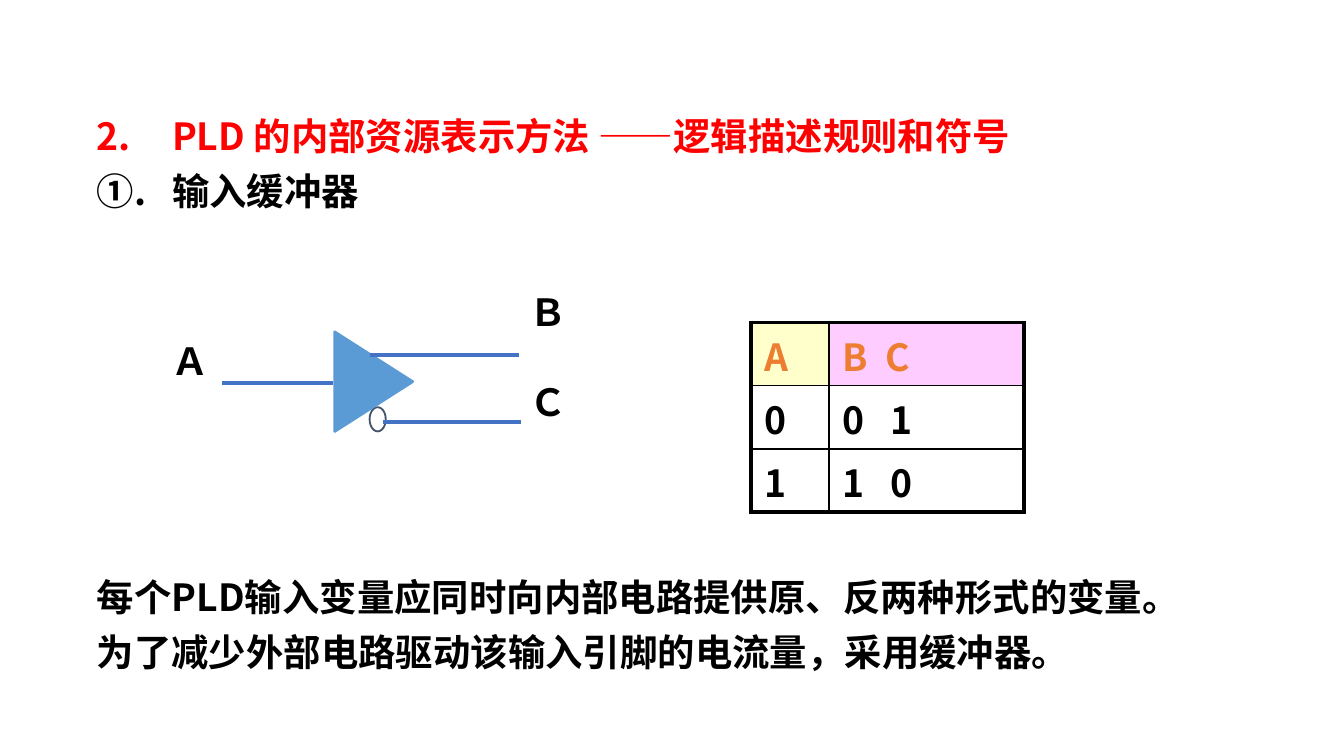
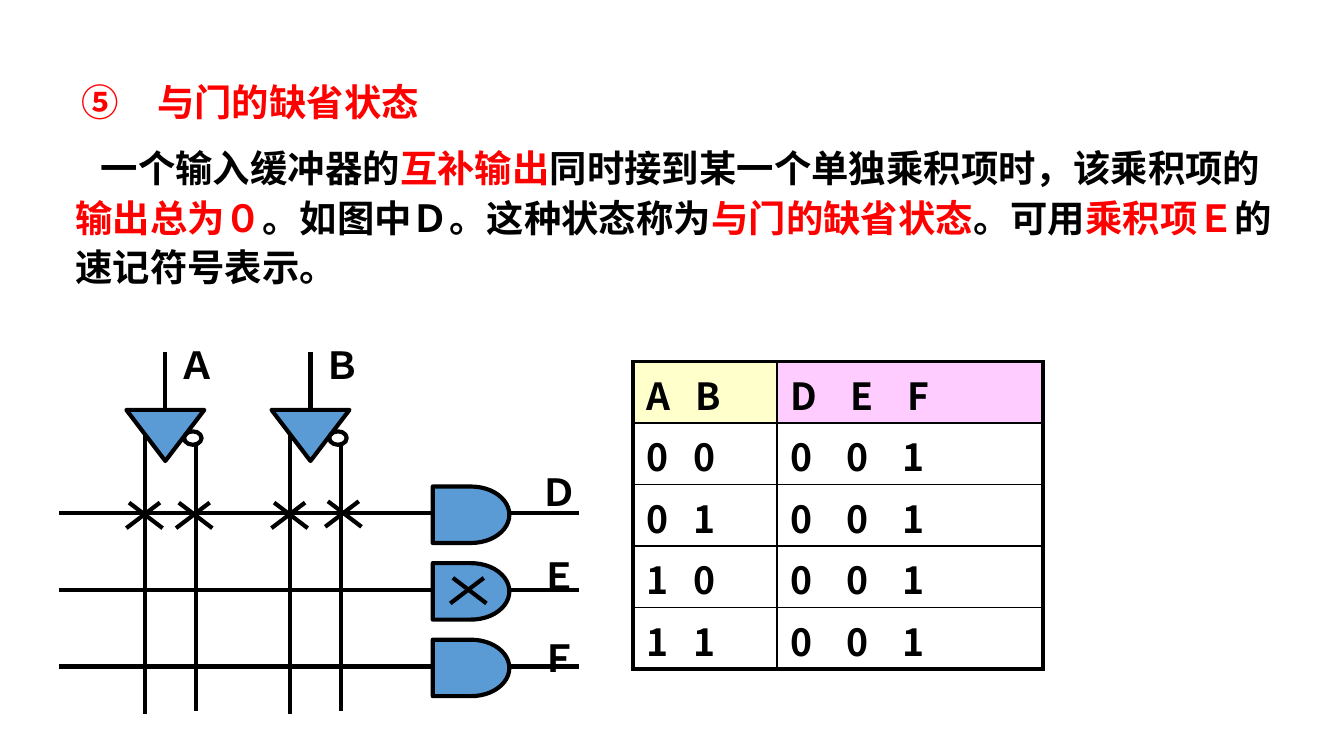
"""Builds two slides on the logic symbols of programmable devices."""
from typing import NamedTuple

from lxml import etree
from pptx import Presentation
from pptx.dml.color import RGBColor
from pptx.enum.shapes import MSO_CONNECTOR, MSO_SHAPE
from pptx.enum.text import MSO_ANCHOR, MSO_AUTO_SIZE, PP_ALIGN
from pptx.oxml.ns import qn
from pptx.util import Inches, Pt

STRAIGHT = MSO_CONNECTOR.STRAIGHT
ELLIPSE = MSO_SHAPE.OVAL
EXTRACT = MSO_SHAPE.FLOWCHART_EXTRACT
MERGE = MSO_SHAPE.FLOWCHART_MERGE
DELAY = MSO_SHAPE.FLOWCHART_DELAY
TOP, MIDDLE = MSO_ANCHOR.TOP, MSO_ANCHOR.MIDDLE
NO_FIT, GROW = MSO_AUTO_SIZE.NONE, MSO_AUTO_SIZE.SHAPE_TO_FIT_TEXT
LEFT = PP_ALIGN.LEFT

FONT = "Noto Sans CJK JP"
BLACK, WHITE, RED, ORANGE = "000000", "FFFFFF", "FF0000", "ED7D31"
SYMBOL_BLUE, WIRE_BLUE, SLATE = "5B9BD5", "4472C4", "44546A"
INPUT_YELLOW, OUTPUT_PINK = "FFFFCC", "FFCCFF"
THICK, THIN = 2.25, 1


class Box(NamedTuple):
    """Position and size in inches."""
    left: float
    top: float
    width: float
    height: float

    def lengths(self) -> list:
        """Return the four values as lengths."""
        return [Inches(value) for value in self]


class Label(NamedTuple):
    """A letter beside a wire."""
    text: str
    box: Box


class Buffer(NamedTuple):
    """An input buffer with its left edge."""
    label: str
    left: float


class Gate(NamedTuple):
    """An AND gate with its wire height and label top."""
    label: str
    wire_y: float
    label_top: float


class TruthTable(NamedTuple):
    """A truth table of input and output columns."""
    box: Box
    columns: tuple
    rows: list
    header_color: str


BUFFER_LABELS = [Label("Ａ", Box(1.18, 2.47, 0.67, 0.43)),
                 Label("Ｂ", Box(3.84, 2.1, 0.67, 0.43)),
                 Label("Ｃ", Box(3.84, 2.77, 0.67, 0.43))]
BUFFER_WIRES = [(1.65, 2.85, 2.48, 2.85), (2.85, 3.14, 3.88, 3.14), (2.75, 2.64, 3.86, 2.64)]
BUFFERS = [Buffer("Ａ", 0.94), Buffer("Ｂ", 2.02)]
GATES = [Gate("Ｄ", 3.82, 3.44), Gate("Ｅ", 4.39, 4.07), Gate("Ｆ", 4.96, 4.68)]
CROSSES = [(3.35, 4.3), (0.94, 3.74), (1.31, 3.74), (2.02, 3.74), (2.42, 3.73)]

BUFFER_TABLE = TruthTable(Box(5.59, 2.4, 2.03, 1.41), (0.58, 1.45),
                          [("A", "B  C"), ("0", "0   1"), ("1", "1   0")], ORANGE)
GATE_TABLE = TruthTable(Box(4.71, 2.69, 3.05, 2.29), (1.07, 1.98),
                        [("A   B", "D    E    F")]
                        + [(f"{a}   {b}", "0    0    1") for a in (0, 1) for b in (0, 1)], BLACK)


def rgb(color: str) -> RGBColor:
    """Turn a hex string into a colour."""
    return RGBColor.from_string(color)


def write(paragraph, text: str, *, size: float = 20, color: str = BLACK, bold: bool = True) -> None:
    """Add a run of formatted text to a paragraph."""
    run = paragraph.add_run()
    run.text = text
    font = run.font
    font.size, font.bold, font.name = Pt(size), bold, FONT
    font.color.rgb = rgb(color)
    etree.SubElement(font._element, qn("a:ea"), typeface=FONT)


def set_layout(paragraph, *, spacing: float = 1, before: float = 0, percent: int = 0,
               margin: float = 0, indent: float = 0, number: str = "", start: int = 1) -> None:
    """Set spacing, indents and automatic numbering of a paragraph."""
    paragraph.alignment = LEFT
    paragraph.line_spacing = spacing
    paragraph.space_before = Pt(before)
    properties = paragraph._p.get_or_add_pPr()
    properties.set("marL", str(Inches(margin)))
    properties.set("indent", str(Inches(indent)))
    if percent:
        space = properties.find(qn("a:spcBef"))
        space.clear()
        etree.SubElement(space, qn("a:spcPct"), val=str(percent * 1000))
    if number:
        bullet = etree.SubElement(properties, qn("a:buAutoNum"), type=number)
        if start > 1:
            bullet.set("startAt", str(start))
    else:
        etree.SubElement(properties, qn("a:buNone"))


def place(placeholder, box: Box):
    """Move a placeholder and return its text frame."""
    placeholder.left, placeholder.top, placeholder.width, placeholder.height = box.lengths()
    frame = placeholder.text_frame
    frame.auto_size, frame.vertical_anchor, frame.word_wrap = NO_FIT, TOP, True
    return frame


def add_label(shapes, label: Label) -> None:
    """Add a letter in a text box."""
    frame = shapes.add_textbox(*label.box.lengths()).text_frame
    frame.word_wrap, frame.auto_size = True, GROW
    set_layout(frame.paragraphs[0], percent=50)
    write(frame.paragraphs[0], label.text)


def add_symbol(shapes, kind, box: Box, *, fill: str = "", line: str = BLACK,
               width: float = THICK, rotation: float = 0) -> None:
    """Add a circuit symbol."""
    shape = shapes.add_shape(kind, *box.lengths())
    shape.shadow.inherit = False
    shape.rotation = rotation
    if fill:
        shape.fill.solid()
        shape.fill.fore_color.rgb = rgb(fill)
    else:
        shape.fill.background()
    shape.line.color.rgb, shape.line.width = rgb(line), Pt(width)


def add_wire(shapes, *ends: float, color: str = BLACK) -> None:
    """Add a straight wire between two points."""
    wire = shapes.add_connector(STRAIGHT, *[Inches(end) for end in ends])
    wire.line.color.rgb, wire.line.width = rgb(color), Pt(THICK)
    etree.SubElement(wire._element.spPr, qn("a:effectLst"))


def add_cross(shapes, left: float, top: float) -> None:
    """Add a programmed connection."""
    bottom = top + 0.19
    add_wire(shapes, left + 0.02, top, left + 0.27, bottom)
    add_wire(shapes, left + 0.25, top, left, bottom)


def set_borders(cell, thick_sides: dict) -> None:
    """Draw the four borders of a cell, thick where marked."""
    properties = cell._tc.get_or_add_tcPr()
    for index, (side, thick) in enumerate(thick_sides.items()):
        border = etree.Element(qn(f"a:ln{side}"), w=str(Pt(THICK if thick else THIN)))
        fill = etree.SubElement(border, qn("a:solidFill"))
        etree.SubElement(fill, qn("a:srgbClr"), val=BLACK)
        properties.insert(index, border)


def add_truth_table(slide, truth: TruthTable) -> None:
    """Add a truth table with a coloured header row."""
    row_count, column_count = len(truth.rows), len(truth.columns)
    table = slide.shapes.add_table(row_count, column_count, *truth.box.lengths()).table
    table.horz_banding = False
    for column, width in zip(table.columns, truth.columns):
        column.width = Inches(width)
    for row_index, values in enumerate(truth.rows):
        header = row_index == 0
        for column_index, value in enumerate(values):
            cell = table.cell(row_index, column_index)
            cell.vertical_anchor = MIDDLE
            cell.margin_top = cell.margin_bottom = Inches(0.04)
            cell.fill.solid()
            cell.fill.fore_color.rgb = rgb(
                (INPUT_YELLOW, OUTPUT_PINK)[column_index] if header else WHITE)
            paragraph = cell.text_frame.paragraphs[0]
            set_layout(paragraph, percent=20)
            write(paragraph, value, color=truth.header_color if header else BLACK)
            set_borders(cell, {"L": column_index == 0, "R": column_index == column_count - 1,
                               "T": header, "B": row_index == row_count - 1})


def build_input_buffer(presentation) -> None:
    """Build the slide on the input buffer."""
    slide = presentation.slides.add_slide(presentation.slide_layouts[1])
    title = place(slide.shapes.title, Box(0.62, 0.86, 9.42, 0.82))
    numbered = {"spacing": 0.8, "percent": 50, "margin": 0.56, "indent": -0.56}
    set_layout(title.paragraphs[0], number="arabicPeriod", start=2, **numbered)
    write(title.paragraphs[0], "PLD 的内部资源表示方法 ——逻辑描述规则和符号", color=RED)
    subtitle = title.add_paragraph()
    set_layout(subtitle, number="circleNumDbPlain", **numbered)
    write(subtitle, "输入缓冲器")

    shapes = slide.shapes.add_group_shape().shapes
    add_symbol(shapes, ELLIPSE, Box(2.75, 3.03, 0.12, 0.18), fill=WHITE, line=SLATE, width=1)
    add_symbol(shapes, EXTRACT, Box(2.41, 2.55, 0.74, 0.58), fill=SYMBOL_BLUE,
               line=SYMBOL_BLUE, width=1.5, rotation=90)
    for ends in BUFFER_WIRES:
        add_wire(shapes, *ends, color=WIRE_BLUE)
    for label in BUFFER_LABELS:
        add_label(shapes, label)
    add_truth_table(slide, BUFFER_TABLE)

    body = place(slide.placeholders[1], Box(0.62, 4.29, 9.42, 0.82))
    closing = body.add_paragraph()
    for paragraph, text in ((body.paragraphs[0], "每个PLD输入变量应同时向内部电路提供原、反两种形式的变量。"),
                            (closing, "为了减少外部电路驱动该输入引脚的电流量，采用缓冲器。")):
        set_layout(paragraph, spacing=0.8, percent=50)
        write(paragraph, text)


def build_default_state(presentation) -> None:
    """Build the slide on the default state of the AND gate."""
    slide = presentation.slides.add_slide(presentation.slide_layouts[1])
    title = place(slide.shapes.title, Box(0.51, 0.58, 4.67, 0.56)).paragraphs[0]
    set_layout(title, spacing=0.9, margin=0.56, indent=-0.56, number="circleNumDbPlain", start=5)
    write(title, "与门的缺省状态", color=RED)
    body = place(slide.placeholders[1], Box(0.27, 1, 9.45, 1.34)).paragraphs[0]
    set_layout(body, spacing=1.1, before=7.5, margin=0.19, indent=0.19)
    statement = ("一个输入缓冲器的|互补输出|同时接到某一个单独乘积项时，该乘积项的|输出总为０|"
                 "。如图中Ｄ。这种状态称为|与门的缺省状态|。可用|乘积项Ｅ|的速记符号表示。")
    for index, text in enumerate(statement.split("|")):
        write(body, text, color=RED if index % 2 else BLACK)

    shapes = slide.shapes.add_group_shape().shapes
    for label, left in BUFFERS:
        add_symbol(shapes, MERGE, Box(left, 3.05, 0.58, 0.38), fill=SYMBOL_BLUE)
        add_symbol(shapes, ELLIPSE, Box(left + 0.43, 3.21, 0.13, 0.1))
        add_wire(shapes, left + 0.14, 3.23, left + 0.14, 5.31)
        add_wire(shapes, left + 0.52, 3.3, left + 0.52, 5.29)
        add_label(shapes, Label(label, Box(left + 0.29, 2.5, 0.5, 0.44)))
        add_wire(shapes, left + 0.29, 2.62, left + 0.29, 3.05)
    for label, wire_y, label_top in GATES:
        add_wire(shapes, 0.44, wire_y, 3.22, wire_y)
        add_wire(shapes, 3.78, wire_y, 4.31, wire_y)
        add_label(shapes, Label(label, Box(3.92, label_top, 0.51, 0.44)))
        add_symbol(shapes, DELAY, Box(3.22, wire_y - 0.2, 0.57, 0.42), fill=SYMBOL_BLUE)
    for left, top in CROSSES:
        add_cross(shapes, left, top)
    add_truth_table(slide, GATE_TABLE)


def main() -> None:
    """Build and save the presentation."""
    presentation = Presentation()
    presentation.slide_width, presentation.slide_height = Inches(10), Inches(5.625)
    build_input_buffer(presentation)
    build_default_state(presentation)
    presentation.save("out.pptx")


if __name__ == "__main__":
    main()
